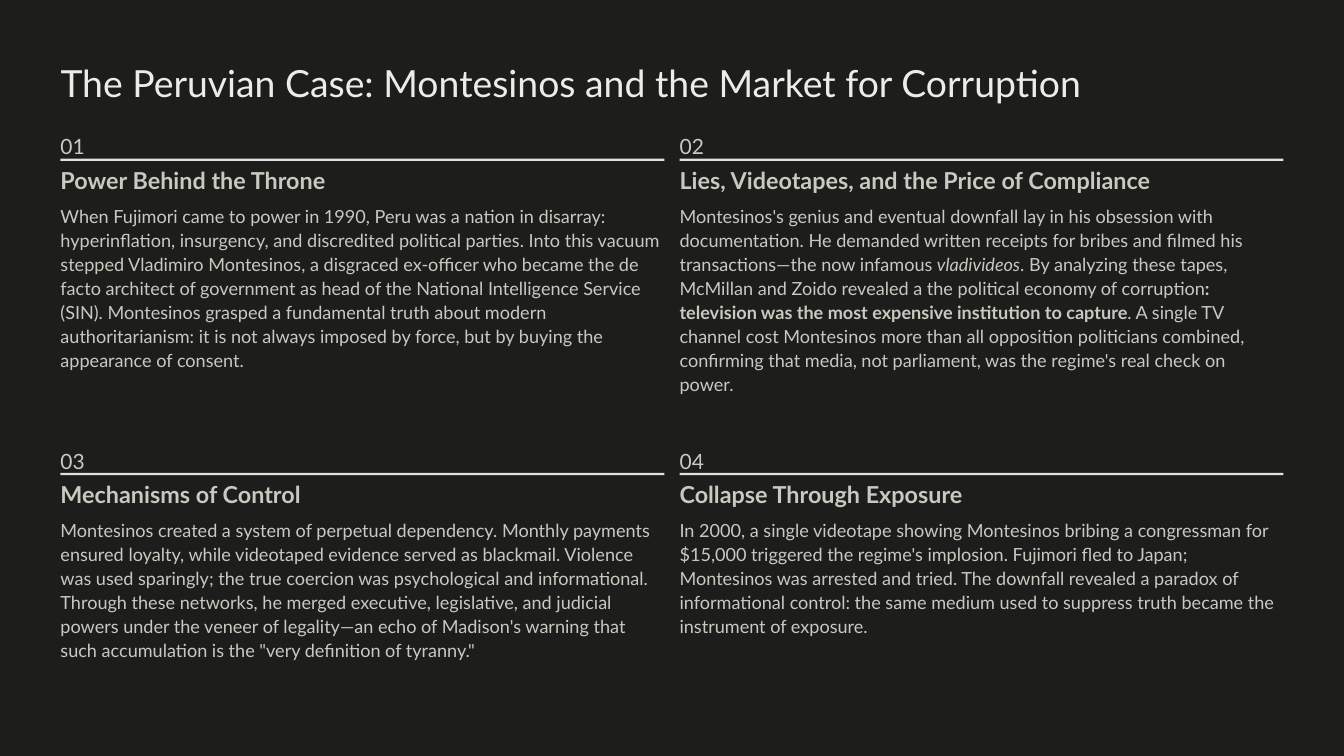
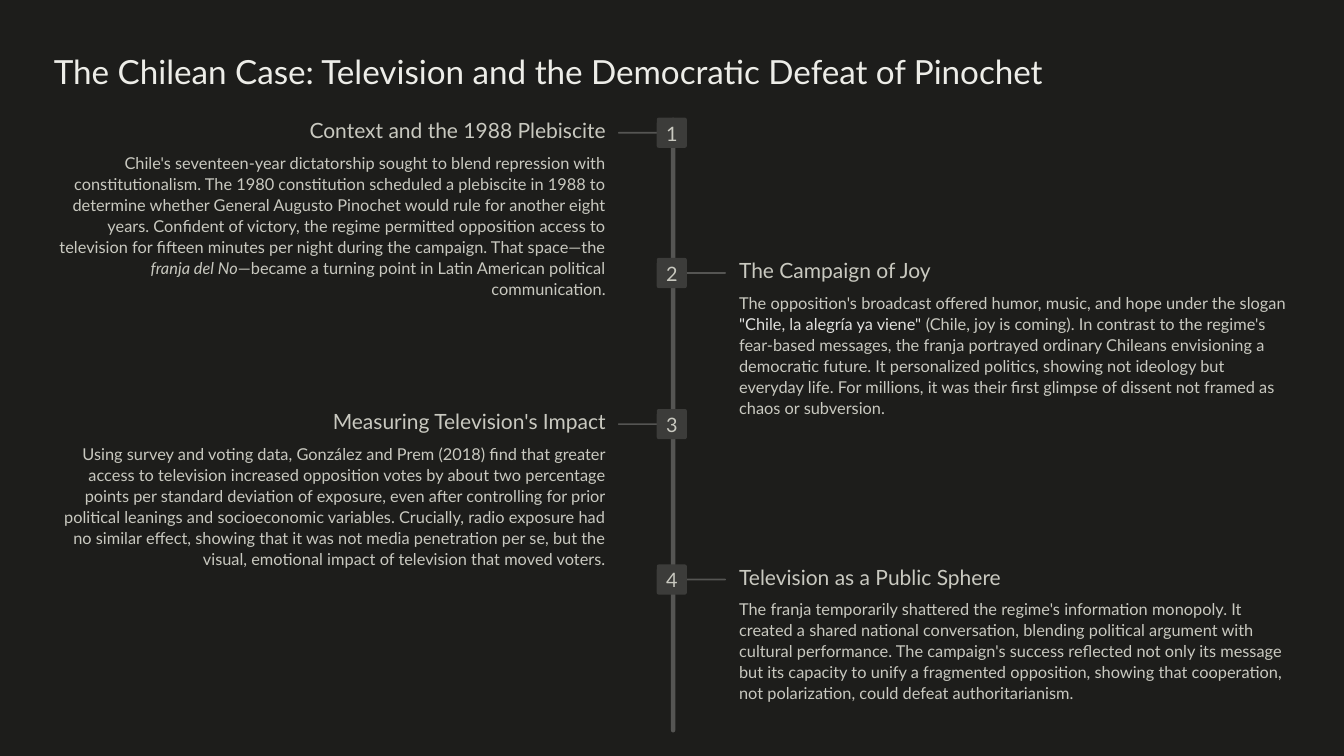
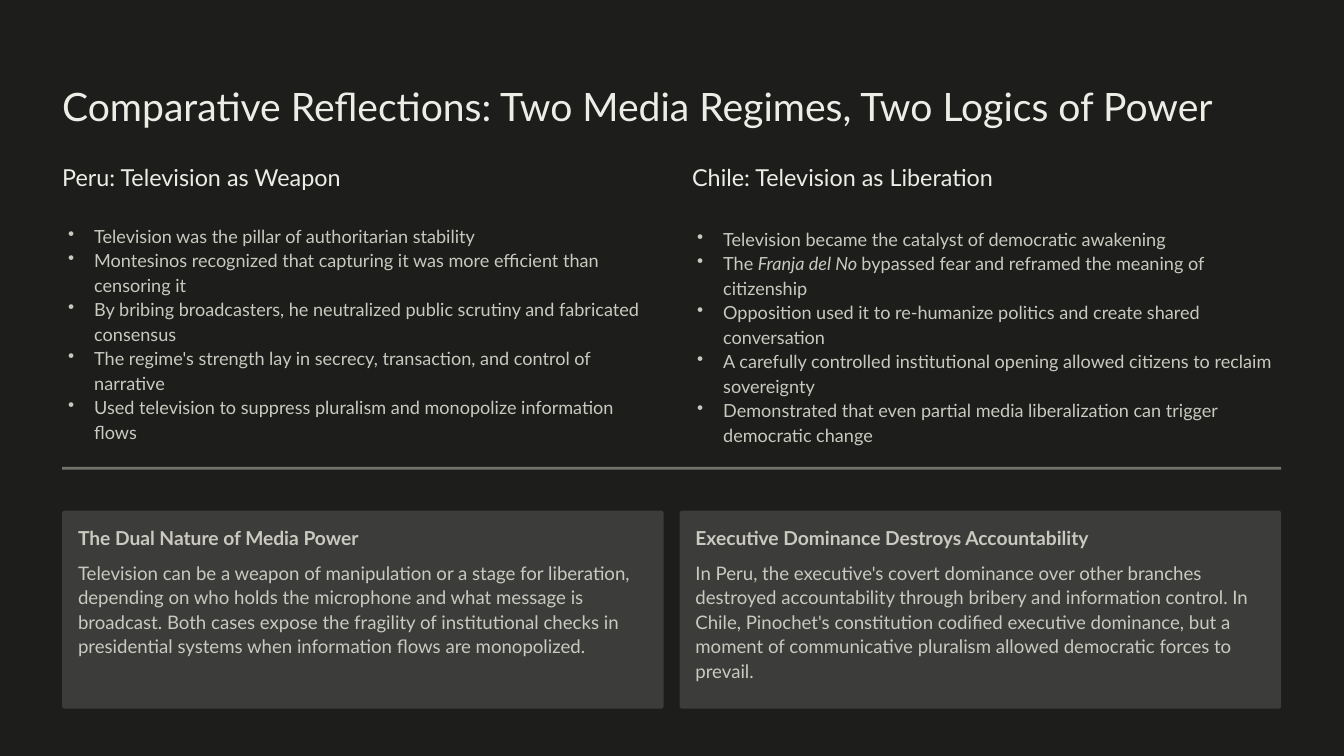
"""Build three dark slides on television and power in Peru and Chile."""
from dataclasses import dataclass

from lxml.etree import SubElement
from pptx import Presentation
from pptx.dml.color import RGBColor
from pptx.enum.shapes import MSO_SHAPE
from pptx.enum.text import MSO_ANCHOR, MSO_AUTO_SIZE, PP_ALIGN
from pptx.oxml.ns import qn
from pptx.util import Cm, Pt


@dataclass(frozen=True)
class Type:
    """Size, leading, colour and weight of one kind of text."""
    size: float
    lead: float
    ink: str = "C9C9C0"
    bold: bool = False


class Theme:
    """Colours, font and type sizes."""
    font = "Lato"
    back, card, line = "1D1D1B", "3C3C3A", "555553"
    light, soft, pale = "EDEDE8", "C9C9C0", "E1E1DF"
    title_big = Type(32, 40, light)
    title_mid = Type(28.5, 35.5, light)
    title_wide = Type(33.5, 41.5, light)
    index = Type(18, 20.5)
    head = Type(20, 20, bold=True)
    body = Type(15.5, 20.5)
    badge = Type(17, 17)
    step = Type(18, 17.5)
    small = Type(14, 18)
    column = Type(20, 25, light)
    point = Type(15.5, 21)
    card_head = Type(16.5, 20.5, bold=True)
    card_body = Type(16, 21)


class Deck:
    """Holds the style and the current slide."""

    def __init__(self):
        self.file = Presentation()
        self.file.slide_width, self.file.slide_height = Cm(40.64), Cm(22.86)
        fill = self.file.slide_master.background.fill
        fill.solid()
        fill.fore_color.rgb = RGBColor.from_string(Theme.back)

    def start(self, title, kind, left, top, width):
        self.slide = self.file.slides.add_slide(self.file.slide_layouts[5])
        shape = self.slide.shapes.title
        shape.left, shape.top = Cm(left), Cm(top)
        shape.width, shape.height = Cm(width), Cm(1.5)
        self.set_text(shape.text_frame, [title], kind)

    def set_text(self, frame, paras, kind, align=PP_ALIGN.LEFT, bullet=False):
        frame.word_wrap = True
        frame.auto_size = MSO_AUTO_SIZE.NONE
        frame.vertical_anchor = MSO_ANCHOR.TOP
        frame.margin_left = frame.margin_right = 0
        frame.margin_top = frame.margin_bottom = 0
        for i, parts in enumerate(paras):
            para = frame.add_paragraph() if i else frame.paragraphs[0]
            if bullet:
                self.mark(para)
            para.alignment = align
            para.line_spacing = Pt(kind.lead)
            para.space_before = Pt(0)
            font = para.font
            font.name, font.size, font.bold = Theme.font, Pt(kind.size), kind.bold
            font.color.rgb = RGBColor.from_string(kind.ink)
            for part in [parts] if isinstance(parts, str) else parts:
                self.add_run(para, part)

    def add_run(self, para, part):
        words, look = (part, "") if isinstance(part, str) else part
        run = para.add_run()
        run.text = words
        if look == "bold":
            run.font.bold = True
        elif look == "italic":
            run.font.italic = True
        elif look == "pale":
            run.font.color.rgb = RGBColor.from_string(Theme.pale)

    def mark(self, para):
        props = para._p.get_or_add_pPr()
        props.set("marL", str(Cm(0.79)))
        props.set("indent", str(-Cm(0.79)))
        SubElement(props, qn("a:buChar")).set("char", "•")

    def text(self, paras, kind, left, top, width, height, **style):
        box = self.slide.shapes.add_textbox(Cm(left), Cm(top), Cm(width), Cm(height))
        self.set_text(box.text_frame, paras, kind, **style)

    def block(self, left, top, width, height, ink, curve=0, alpha=100):
        form = MSO_SHAPE.ROUNDED_RECTANGLE if curve else MSO_SHAPE.RECTANGLE
        shape = self.slide.shapes.add_shape(form, Cm(left), Cm(top), Cm(width), Cm(height))
        if curve:
            shape.adjustments[0] = curve
        shape.shadow.inherit = False
        shape.line.fill.background()
        shape.fill.solid()
        shape.fill.fore_color.rgb = RGBColor.from_string(ink)
        if alpha < 100:
            tint = shape._element.spPr.find(".//" + qn("a:srgbClr"))
            SubElement(tint, qn("a:alpha")).set("val", str(alpha * 1000))
        return shape

    def badge(self, label, left, top):
        frame = self.block(left, top, 0.91, 0.91, Theme.card, 0.067).text_frame
        self.set_text(frame, [label], Theme.badge, align=PP_ALIGN.CENTER)
        frame.vertical_anchor = MSO_ANCHOR.MIDDLE
        frame.margin_top = Cm(0.14)

    def panel(self, label, head, body, left, top):
        width = 18.26
        self.text([label], Theme.index, left, top, width, 0.6)
        self.block(left, top + 0.71, width, 0.07, Theme.pale)
        self.text([head], Theme.head, left, top + 1.07, width, 0.71)
        self.text([body], Theme.body, left, top + 2.06, width, 5.13)

    def stage(self, label, head, body, top, right):
        left, rung = (22.35, 20.73) if right else (1.63, 18.69)
        align = PP_ALIGN.LEFT if right else PP_ALIGN.RIGHT
        self.block(rung, top + 0.43, 1.22, 0.05, Theme.line, 0.5)
        self.badge(label, 19.86, top)
        self.text([head], Theme.step, left, top + 0.14, 16.69, 0.64, align=align)
        self.text([body], Theme.small, left, top + 1.02, 16.69, 3.89, align=align)

    def note(self, head, body, left, top):
        self.block(left, top, 18.19, 5.99, Theme.card, 0.014)
        self.text([head], Theme.card_head, left + 0.48, top + 0.46, 17.25, 0.74)
        self.text([body], Theme.card_body, left + 0.48, top + 1.48, 17.25, 3.02)


PANELS = [
    ("Power Behind the Throne",
     "When Fujimori came to power in 1990, Peru was a nation in disarray: hyperinflation, "
     "insurgency, and discredited political parties. Into this vacuum stepped Vladimiro "
     "Montesinos, a disgraced ex-officer who became the de facto architect of government as "
     "head of the National Intelligence Service (SIN). Montesinos grasped a fundamental truth "
     "about modern authoritarianism: it is not always imposed by force, but by buying the "
     "appearance of consent."),
    ("Lies, Videotapes, and the Price of Compliance",
     ["Montesinos's genius and eventual downfall lay in his obsession with documentation. He "
      "demanded written receipts for bribes and filmed his transactions—the now infamous ",
      ("vladivideos", "italic"),
      ". By analyzing these tapes, McMillan and Zoido revealed a the political economy of "
      "corruption",
      (": television was the most expensive institution to capture", "bold"),
      ". A single TV channel cost Montesinos more than all opposition politicians combined, "
      "confirming that media, not parliament, was the regime's real check on power."]),
    ("Mechanisms of Control",
     "Montesinos created a system of perpetual dependency. Monthly payments ensured loyalty, "
     "while videotaped evidence served as blackmail. Violence was used sparingly; the true "
     "coercion was psychological and informational. Through these networks, he merged "
     "executive, legislative, and judicial powers under the veneer of legality—an echo of "
     "Madison's warning that such accumulation is the \"very definition of tyranny.\""),
    ("Collapse Through Exposure",
     "In 2000, a single videotape showing Montesinos bribing a congressman for $15,000 "
     "triggered the regime's implosion. Fujimori fled to Japan; Montesinos was arrested and "
     "tried. The downfall revealed a paradox of informational control: the same medium used "
     "to suppress truth became the instrument of exposure."),
]

STAGES = [
    (3.56, "Context and the 1988 Plebiscite",
     ["Chile's seventeen-year dictatorship sought to blend repression with constitutionalism. "
      "The 1980 constitution scheduled a plebiscite in 1988 to determine whether General "
      "Augusto Pinochet would rule for another eight years. Confident of victory, the regime "
      "permitted opposition access to television for fifteen minutes per night during the "
      "campaign. That space—the ",
      ("franja del No", "italic"),
      "—became a turning point in Latin American political communication."]),
    (7.8, "The Campaign of Joy",
     ["The opposition's broadcast offered humor, music, and hope under the slogan ",
      ("\"Chile, la alegría ya viene\"", "pale"),
      " (Chile, joy is coming). In contrast to the regime's fear-based messages, the franja "
      "portrayed ordinary Chileans envisioning a democratic future. It personalized politics, "
      "showing not ideology but everyday life. For millions, it was their first glimpse of "
      "dissent not framed as chaos or subversion."]),
    (12.37, "Measuring Television's Impact",
     "Using survey and voting data, González and Prem (2018) find that greater access to "
     "television increased opposition votes by about two percentage points per standard "
     "deviation of exposure, even after controlling for prior political leanings and "
     "socioeconomic variables. Crucially, radio exposure had no similar effect, showing that "
     "it was not media penetration per se, but the visual, emotional impact of television "
     "that moved voters."),
    (17.07, "Television as a Public Sphere",
     "The franja temporarily shattered the regime's information monopoly. It created a shared "
     "national conversation, blending political argument with cultural performance. The "
     "campaign's success reflected not only its message but its capacity to unify a "
     "fragmented opposition, showing that cooperation, not polarization, could defeat "
     "authoritarianism."),
]

COLUMNS = [
    (1.88, 2.06, 6.73, "Peru: Television as Weapon", [
        "Television was the pillar of authoritarian stability",
        "Montesinos recognized that capturing it was more efficient than censoring it",
        "By bribing broadcasters, he neutralized public scrutiny and fabricated consensus",
        "The regime's strength lay in secrecy, transaction, and control of narrative",
        "Used television to suppress pluralism and monopolize information flows"]),
    (20.93, 21.08, 6.81, "Chile: Television as Liberation", [
        "Television became the catalyst of democratic awakening",
        ["The ", ("Franja del No ", "italic"),
         "bypassed fear and reframed the meaning of citizenship"],
        "Opposition used it to re-humanize politics and create shared conversation",
        "A carefully controlled institutional opening allowed citizens to reclaim sovereignty",
        "Demonstrated that even partial media liberalization can trigger democratic change"]),
]

NOTES = [
    ("The Dual Nature of Media Power",
     "Television can be a weapon of manipulation or a stage for liberation, depending on who "
     "holds the microphone and what message is broadcast. Both cases expose the fragility of "
     "institutional checks in presidential systems when information flows are monopolized."),
    ("Executive Dominance Destroys Accountability",
     "In Peru, the executive's covert dominance over other branches destroyed accountability "
     "through bribery and information control. In Chile, Pinochet's constitution codified "
     "executive dominance, but a moment of communicative pluralism allowed democratic forces "
     "to prevail."),
]


def main():
    deck = Deck()

    deck.start("The Peruvian Case: Montesinos and the Market for Corruption",
               Theme.title_big, 1.83, 1.75, 35.33)
    for i, (head, body) in enumerate(PANELS):
        row, col = divmod(i, 2)
        deck.panel(f"{i + 1:02}", head, body, 1.83 + 18.72 * col, 4.09 + 9.5 * row)

    deck.start("The Chilean Case: Television and the Democratic Defeat of Pinochet",
               Theme.title_mid, 1.63, 1.5, 34.14)
    deck.block(20.29, 3.56, 0.13, 18.59, Theme.line, 0.5)
    for i, (top, head, body) in enumerate(STAGES):
        deck.stage(str(i + 1), head, body, top, right=i % 2 == 1)

    deck.start("Comparative Reflections: Two Media Regimes, Two Logics of Power",
               Theme.title_wide, 1.88, 2.44, 36.86)
    for left, inner, top, head, points in COLUMNS:
        deck.text([head], Theme.column, left, 4.9, 17.8, 0.89)
        deck.text(points, Theme.point, inner, top, 17.86, 6.07, bullet=True)
    deck.block(1.88, 14.12, 36.86, 0.08, Theme.soft, alpha=50)
    for i, (head, body) in enumerate(NOTES):
        deck.note(head, body, 1.88 + 18.67 * i, 15.44)

    deck.file.save("out.pptx")


if __name__ == "__main__":
    main()
